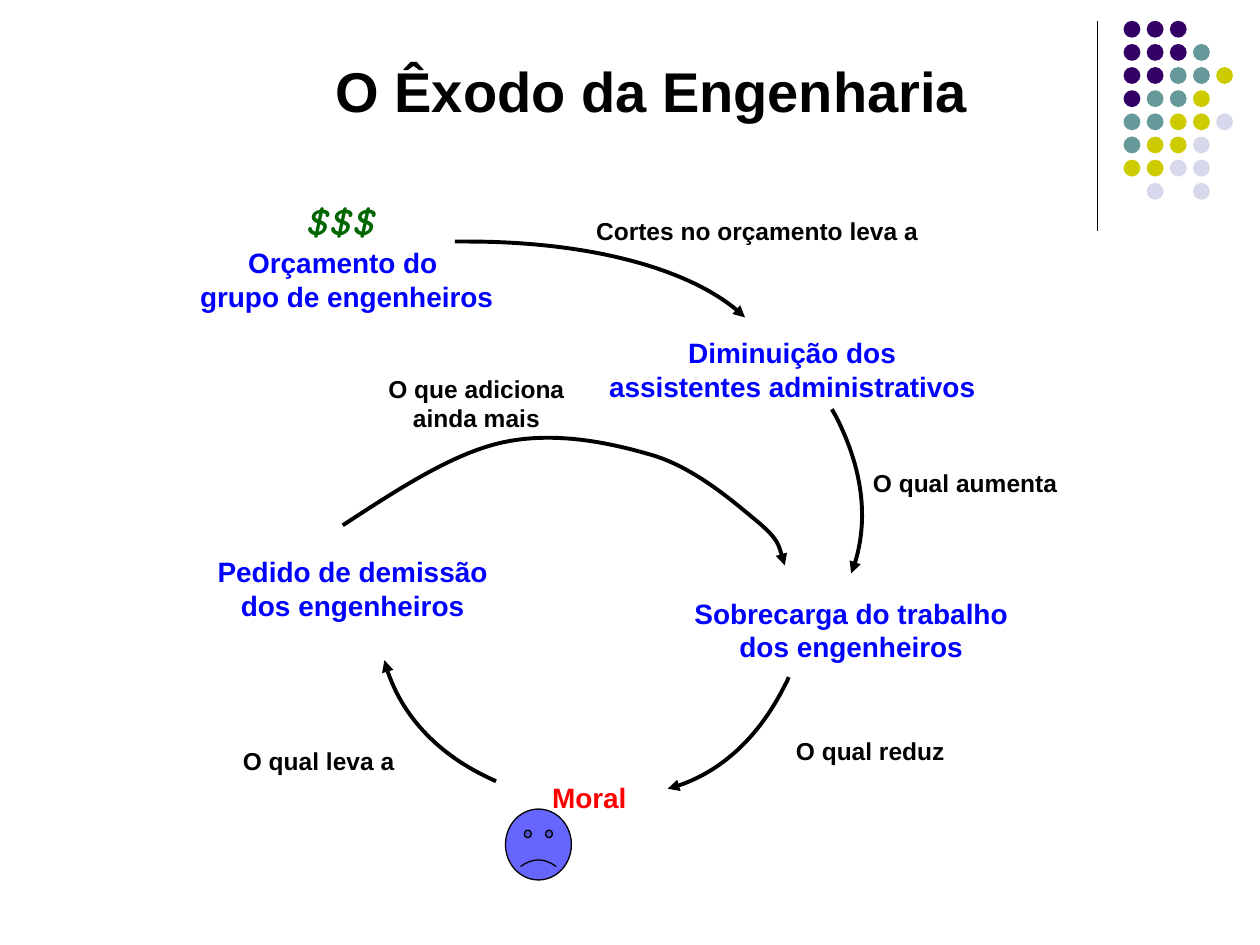
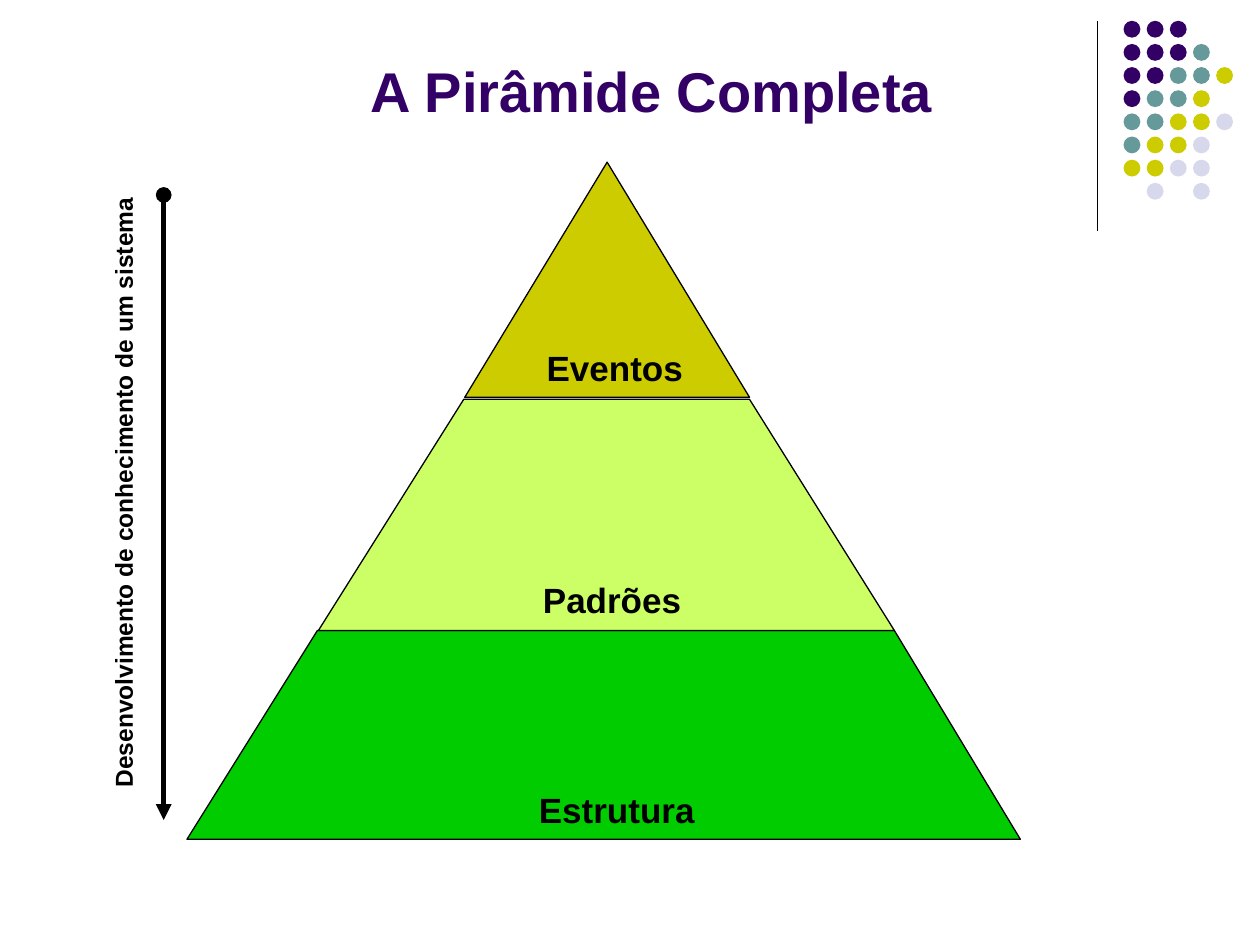
from dataclasses import dataclass
from typing import Optional

from lxml import etree
from pptx import Presentation
from pptx import util as u
from pptx.dml.color import RGBColor
from pptx.enum import shapes, text
from pptx.oxml import ns

BLACK = RGBColor(0x00, 0x00, 0x00)
PURPLE = RGBColor(0x33, 0x00, 0x66)
TEAL = RGBColor(0x66, 0x99, 0x99)
OLIVE = RGBColor(0xCC, 0xCC, 0x00)
LAVENDER = RGBColor(0xD8, 0xD8, 0xEC)
BLUE = RGBColor(0x00, 0x00, 0xFF)
RED = RGBColor(0xFF, 0x00, 0x00)
MONEY_GREEN = RGBColor(0x00, 0x66, 0x00)
FACE_BLUE = RGBColor(0x66, 0x66, 0xFF)
LIME = RGBColor(0xCC, 0xFF, 0x66)
GREEN = RGBColor(0x00, 0xCC, 0x00)

# Corner dots: one letter per dot, one string per row
DOT_COLOURS = {"P": PURPLE, "T": TEAL, "O": OLIVE, "L": LAVENDER}
DOT_ROWS = ["PPP", "PPPT", "PPTTO", "PTTO", "TTOOL", "TOOL", "OOLL", ".L.L"]
DOT_LEFT, DOT_TOP, DOT_STEP, DOT_SIZE = 22.65, 0.42, 1.4 / 3, 0.34

Point = tuple[float, float]


@dataclass
class Label:
    """Text with its box in centimetres."""
    wording: str
    left: float
    top: float
    width: float
    height: float
    size: float = 14
    colour: RGBColor = BLACK
    font: str = "Arial"
    italic: bool = False
    wrap: bool = True
    padded: bool = False
    rotation: float = 0
    space_before: float = 0


@dataclass
class Layer:
    """One level of the pyramid, as corner points in centimetres."""
    corners: list[Point]
    colour: RGBColor


def concept(wording: str, left: float, top: float, width: float,
            height: float = 1.35, colour: RGBColor = BLUE) -> Label:
    return Label(wording, left, top, width, height, 16, colour, wrap=False)


def level_name(wording: str, left: float, top: float, width: float,
               wrap: bool = False) -> Label:
    return Label(wording, left, top, width, 1.12, 20, wrap=wrap, padded=True)


# Slide 1: the cycle
CYCLE_LABELS = [
    concept("Orçamento do \ngrupo de engenheiros", 4.02, 4.96, 5.94),
    Label("$$$", 5.94, 3.84, 1.9, 1.19, 22, MONEY_GREEN, "Comic Neue",
          italic=True, wrap=False, padded=True),
    concept("Diminuição dos\nassistentes administrativos", 12.26, 6.77, 7.42),
    concept("Sobrecarga do trabalho\ndos engenheiros", 13.97, 12.02, 6.38),
    concept("Moral", 11.08, 15.74, 1.6, 0.69, RED),
    concept("Pedido de demissão\ndos engenheiros", 4.31, 11.18, 5.6),
    Label("Cortes no orçamento leva a", 11.91, 4.35, 6.71, 0.58),
    Label("O qual aumenta", 17.55, 9.44, 3.81, 0.58),
    Label("O qual reduz", 15.64, 14.83, 3.81, 0.58),
    Label("O qual leva a", 4.52, 15.03, 3.81, 0.58),
    Label("O que adiciona ainda mais", 7.7, 7.54, 3.81, 1.19),
]
# Each curve: a start, then two control points and an end per section
CYCLE_CURVES: list[list[Point]] = [
    [(9.17, 4.87), (9.25, 4.87), (9.33, 4.87), (9.42, 4.87),
     (11.84, 4.87), (14.05, 5.45), (15.02, 6.4)],
    [(16.77, 8.25), (16.8, 8.3), (16.83, 8.36), (16.86, 8.41),
     (17.4, 9.47), (17.53, 10.64), (17.16, 11.56)],
    [(15.9, 13.65), (15.88, 13.71), (15.85, 13.77), (15.82, 13.82),
     (15.29, 14.88), (14.4, 15.67), (13.46, 15.9)],
    [(10, 15.75), (9.95, 15.72), (9.88, 15.7), (9.83, 15.67),
     (8.76, 15.16), (7.98, 14.25), (7.75, 13.31)],
    [(6.91, 10.59), (8, 9.88), (9.12, 9.14), (10.13, 8.92),
     (11.18, 8.69), (12.27, 8.92), (13.13, 9.17),
     (13.99, 9.42), (14.78, 10.11), (15.24, 10.49),
     (15.7, 10.87), (15.75, 11.15), (15.82, 11.4)],
]

# Slide 2: the pyramid
LOWER_LAYERS = [
    Layer([(6.4, 12.71), (18.03, 12.71), (20.57, 16.92), (3.77, 16.92)], GREEN),
    Layer([(9.35, 8.05), (15.11, 8.05), (18.03, 12.71), (6.42, 12.71)], LIME),
]
PYRAMID_LABELS = [
    level_name("Eventos", 10.77, 6.86, 3.25),
    level_name("Padrões", 10.69, 11.53, 3.3),
    level_name("Estrutura", 7.57, 15.77, 9.73, wrap=True),
    Label("Desenvolvimento de conhecimento de um sistema", -3.71, 9.5, 12.4,
          0.86, padded=True, rotation=270, space_before=8.8),
]


def add_label(slide, label: Label):
    box = slide.shapes.add_textbox(u.Cm(label.left), u.Cm(label.top),
                                   u.Cm(label.width), u.Cm(label.height))
    box.rotation = label.rotation
    frame = box.text_frame
    frame.word_wrap = label.wrap
    frame.auto_size = text.MSO_AUTO_SIZE.SHAPE_TO_FIT_TEXT
    if not label.padded:
        frame.margin_left = frame.margin_right = 0
        frame.margin_top = frame.margin_bottom = 0
    frame.text = label.wording
    for paragraph in frame.paragraphs:
        paragraph.alignment = text.PP_ALIGN.CENTER
        if label.space_before:
            paragraph.space_before = u.Pt(label.space_before)
        for run in paragraph.runs:
            run.font.name = label.font
            run.font.size = u.Pt(label.size)
            run.font.bold = True
            run.font.italic = label.italic
            run.font.color.rgb = label.colour
    return box


def style_shape(shape, fill: Optional[RGBColor], width: float = 0.75) -> None:
    shape.shadow.inherit = False
    if fill is None:
        shape.fill.background()
    else:
        shape.fill.solid()
        shape.fill.fore_color.rgb = fill
    shape.line.color.rgb = BLACK
    shape.line.width = u.Pt(width)


def add_ends(shape, tail: str, head: Optional[str] = None) -> None:
    outline = shape.line._get_or_add_ln()
    for tag, kind in (("a:headEnd", head), ("a:tailEnd", tail)):
        if kind:
            etree.SubElement(outline, ns.qn(tag), type=kind)


def add_line(slide, start: Point, end: Point, width: float):
    line = slide.shapes.add_connector(
        shapes.MSO_CONNECTOR.STRAIGHT, *map(u.Cm, start), *map(u.Cm, end))
    line.line.color.rgb = BLACK
    line.line.width = u.Pt(width)
    etree.SubElement(line._element.spPr, ns.qn("a:effectLst"))
    return line


def add_outline(slide, points: list[Point], closed: bool):
    start, *others = [(u.Cm(x), u.Cm(y)) for x, y in points]
    builder = slide.shapes.build_freeform(*start)
    builder.add_line_segments(others, close=closed)
    return builder.convert_to_shape()


def bend(outline) -> None:
    """Turn every three line segments into one cubic Bézier section."""
    segments = list(outline._element.iter(ns.qn("a:lnTo")))
    for first in range(0, len(segments), 3):
        section = etree.Element(ns.qn("a:cubicBezTo"))
        segments[first].addprevious(section)
        for segment in segments[first:first + 3]:
            section.append(segment[0])
            segment.getparent().remove(segment)


def start_slide(deck, title: str, title_colour: RGBColor):
    """A blank slide with the corner decoration and the title."""
    slide = deck.slides.add_slide(deck.slide_layouts[6])
    add_line(slide, (22.12, 0.43), (22.12, 4.65), 0.75)
    corner = slide.shapes.add_group_shape()
    for row, letters in enumerate(DOT_ROWS):
        for column, letter in enumerate(letters):
            if letter not in DOT_COLOURS:
                continue
            dot = corner.shapes.add_shape(
                shapes.MSO_SHAPE.OVAL,
                u.Cm(DOT_LEFT + column * DOT_STEP),
                u.Cm(DOT_TOP + row * DOT_STEP),
                u.Cm(DOT_SIZE), u.Cm(DOT_SIZE))
            style_shape(dot, DOT_COLOURS[letter])
            dot.line.fill.background()
    heading = add_label(slide, Label(title, 1.76, 0.71, 22.76, 1.9, 32,
                                     title_colour, padded=True))
    heading.text_frame.auto_size = text.MSO_AUTO_SIZE.NONE
    heading.text_frame.vertical_anchor = text.MSO_ANCHOR.BOTTOM
    return slide


def build_cycle(deck) -> None:
    slide = start_slide(deck, "O Êxodo da Engenharia", BLACK)
    for label in CYCLE_LABELS:
        add_label(slide, label)
    for knots in CYCLE_CURVES:
        arrow = add_outline(slide, knots, closed=False)
        bend(arrow)
        style_shape(arrow, None, 2.25)
        add_ends(arrow, "triangle")
    sad_face = slide.shapes.add_shape(
        shapes.MSO_SHAPE.SMILEY_FACE,
        u.Cm(10.19), u.Cm(16.31), u.Cm(1.33), u.Cm(1.43))
    sad_face.adjustments[0] = -0.05
    style_shape(sad_face, FACE_BLUE)


def build_pyramid(deck) -> None:
    slide = start_slide(deck, "A Pirâmide Completa", PURPLE)
    peak = slide.shapes.add_shape(
        shapes.MSO_SHAPE.ISOSCELES_TRIANGLE,
        u.Cm(9.37), u.Cm(3.27), u.Cm(5.74), u.Cm(4.74))
    style_shape(peak, OLIVE)
    for layer in LOWER_LAYERS:
        style_shape(add_outline(slide, layer.corners, closed=True), layer.colour)
    knowledge_arrow = add_line(slide, (3.3, 3.93), (3.3, 16.53), 3)
    add_ends(knowledge_arrow, "triangle", "oval")
    for label in PYRAMID_LABELS:
        add_label(slide, label)


def main() -> None:
    deck = Presentation()
    deck.slide_width, deck.slide_height = u.Cm(25.4), u.Cm(19.05)
    build_cycle(deck)
    build_pyramid(deck)
    deck.save("out.pptx")


if __name__ == "__main__":
    main()
